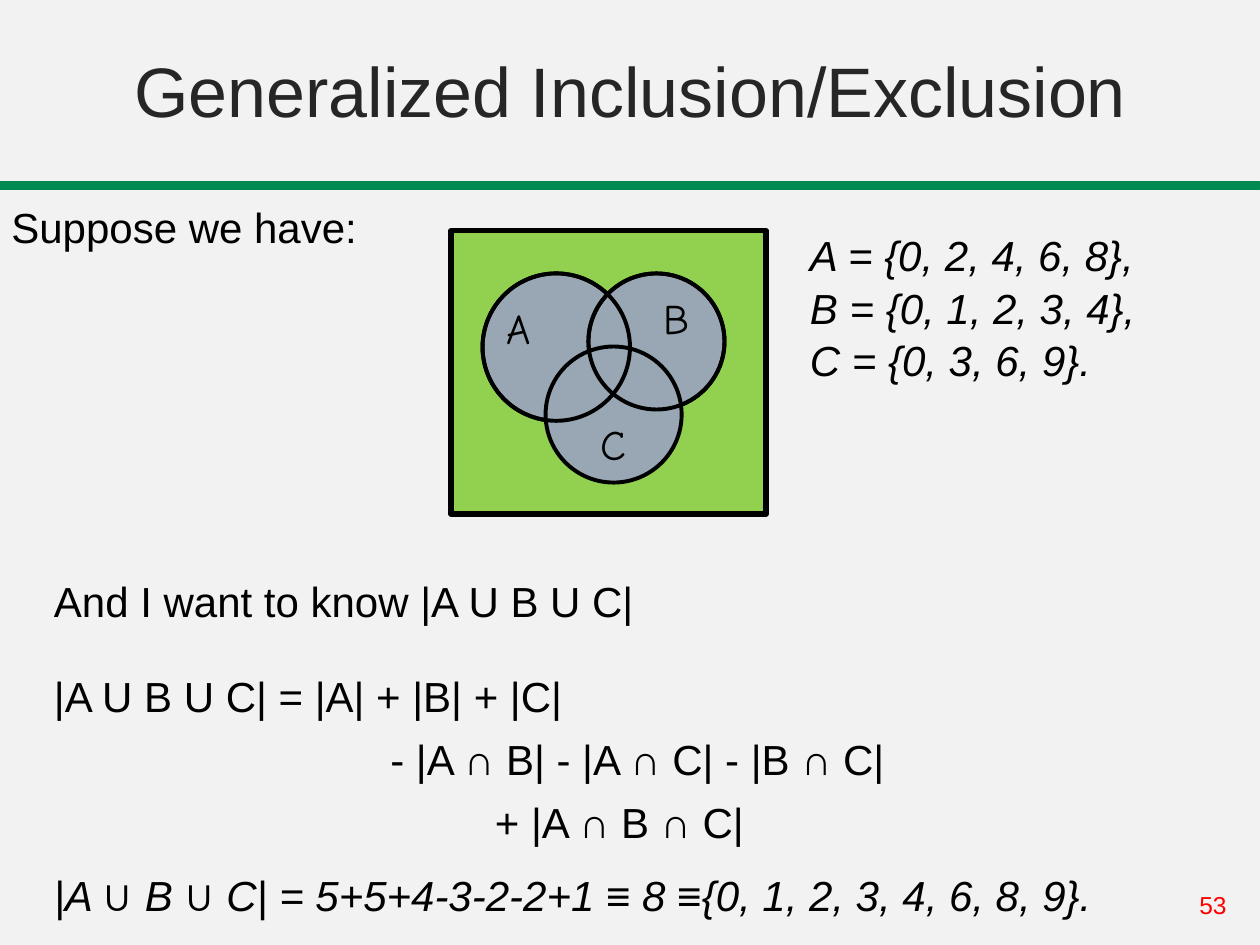
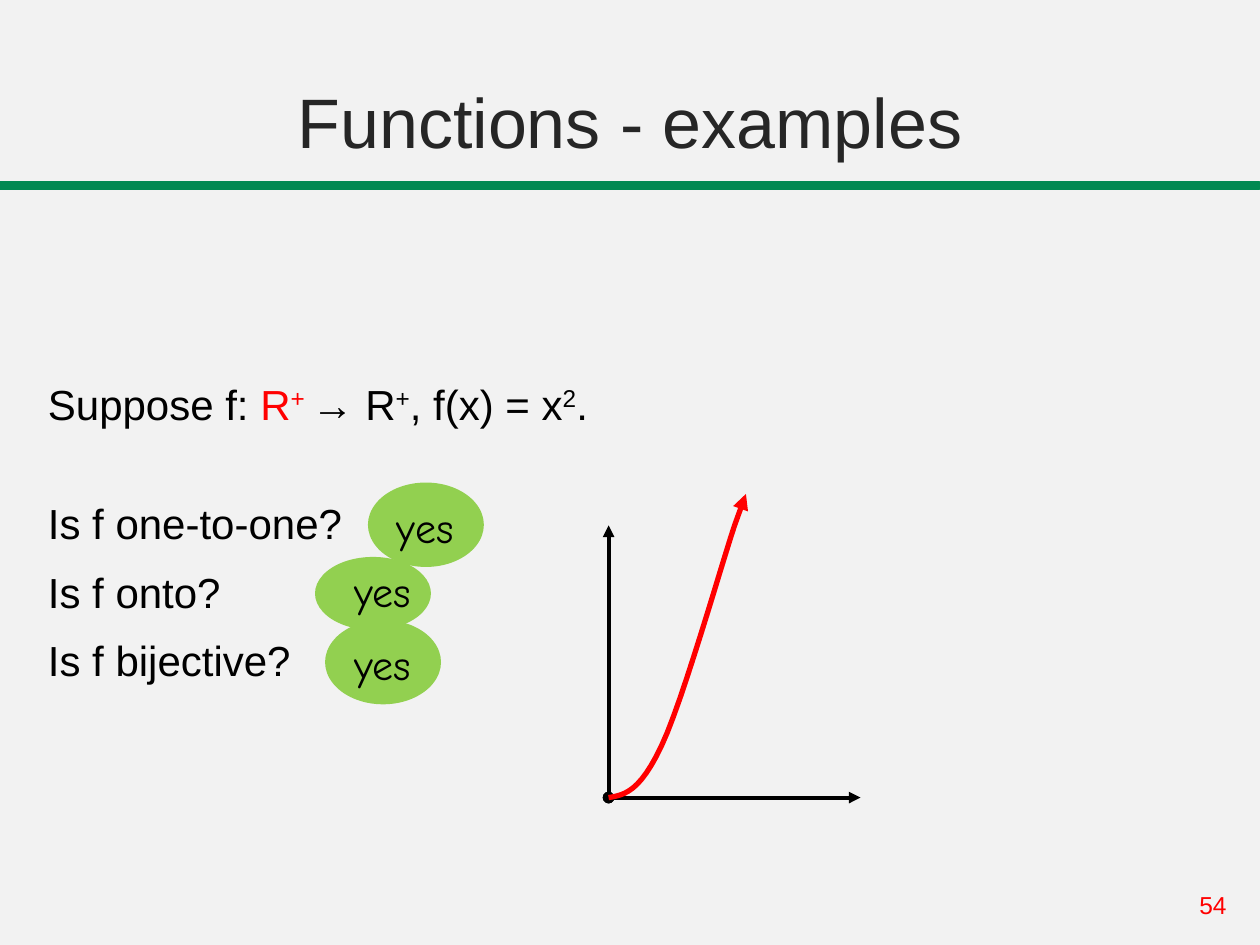
from dataclasses import dataclass
from typing import Optional

from lxml import etree
from pptx import Presentation
from pptx.dml.color import RGBColor
from pptx.enum.shapes import MSO_CONNECTOR, MSO_SHAPE
from pptx.enum.text import MSO_ANCHOR, PP_ALIGN
from pptx.oxml.ns import qn
from pptx.shapes.autoshape import Shape
from pptx.shapes.shapetree import GroupShapes, SlideShapes
from pptx.slide import Slide
from pptx.util import Inches, Pt

RECTANGLE = MSO_SHAPE.RECTANGLE
OVAL = MSO_SHAPE.OVAL
STRAIGHT = MSO_CONNECTOR.STRAIGHT
TOP, MIDDLE, BOTTOM = MSO_ANCHOR.TOP, MSO_ANCHOR.MIDDLE, MSO_ANCHOR.BOTTOM
LEFT, CENTER = PP_ALIGN.LEFT, PP_ALIGN.CENTER

COLORS = {
    "background": "F2F2F2",
    "band": "018952",
    "title": "262626",
    "black": "000000",
    "red": "FF0000",
    "green": "92D050",
    "set": "98A7B3",
}
BODY_FONT = "Arial"
LABEL_FONT = "Comic Neue"
TEXT_SIZE = 24
LINE_SPACING = 1.05
QUESTION_SPACING = 1.36
CURVE_STEPS = 12

Point = tuple[float, float]
Shapes = SlideShapes | GroupShapes


@dataclass(frozen=True)
class Box:
    left: float
    top: float
    width: float
    height: float

    def lengths(self) -> tuple[int, int, int, int]:
        return (Inches(self.left), Inches(self.top),
                Inches(self.width), Inches(self.height))


@dataclass(frozen=True)
class Piece:
    text: str
    color: str = "black"
    superscript: bool = False


@dataclass(frozen=True)
class Line:
    pieces: tuple[Piece, ...]
    spacing: float = LINE_SPACING
    space_after: float = 0


@dataclass(frozen=True)
class Style:
    font: str = BODY_FONT
    size: float = TEXT_SIZE
    italic: bool = False
    align: PP_ALIGN = LEFT
    anchor: MSO_ANCHOR = TOP
    inset: Point = (0.1, 0.05)


@dataclass(frozen=True)
class Answer:
    oval: Box
    text_left: float
    text_top: float


TEXT = Style()
ITALIC = Style(italic=True)
LABEL = Style(font=LABEL_FONT)
ANSWER = Style(font=LABEL_FONT, align=CENTER)
NUMBER = Style(size=14)
TITLE = Style(size=40, align=CENTER, anchor=BOTTOM, inset=(0.09, 0.04))
BODY = Style(anchor=MIDDLE, inset=(0.09, 0.04))

UNIVERSE = Box(3.58, 1.83, 2.5, 2.25)
SET_A = Box(3.83, 2.17, 1.17, 1.17)
SET_B = Box(4.67, 2.17, 1.08, 1.08)
SET_C = Box(4.33, 2.75, 1.08, 1.08)
SET_LABELS = {"A": (3.92, 2.33), "B": (5.17, 2.25), "C": (4.67, 3.25)}

FORMULAS = {
    "And I want to know |A U B U C|": Box(0.33, 4.5, 7.17, 0.58),
    "|A U B U C| = |A| + |B| + |C|": Box(0.33, 5.25, 4.83, 0.58),
    "- |A ∩ B| - |A ∩ C| - |B ∩ C|": Box(3, 5.75, 4.83, 0.58),
    "+ |A ∩ B ∩ C|": Box(3.83, 6.25, 2.5, 0.58),
}
SET_MEMBERS = ("A = {0, 2, 4, 6, 8},", "B = {0, 1, 2, 3, 4},", "C = {0, 3, 6, 9}.")
UNION_SIZE = "|A ∪ B ∪ C| = 5+5+4-3-2-2+1 ≡ 8 ≡{0, 1, 2, 3, 4, 6, 8, 9}."

FUNCTION_DEFINITION = (
    Piece("Suppose f: "), Piece("R", "red"), Piece("+ ", "red", True),
    Piece("→ R"), Piece("+", superscript=True), Piece(", f(x) = x"),
    Piece("2", superscript=True), Piece("."),
)
QUESTIONS = ("Is f one-to-one?", "Is f onto?", "Is f bijective?")
ANSWERS = (
    Answer(Box(2.92, 3.83, 0.92, 0.67), 2.92, 3.91),
    Answer(Box(2.5, 4.42, 0.92, 0.58), 2.58, 4.42),
    Answer(Box(2.58, 4.92, 0.92, 0.67), 2.58, 5),
)

ORIGIN = (4.83, 6.33)
AXIS_ENDS = ((4.83, 4.17), (6.83, 6.33))
CURVE = (
    (ORIGIN, (4.96, 6.31), (5.08, 6.28), (5.25, 5.92)),
    ((5.25, 5.92), (5.42, 5.56), (5.72, 4.5), (5.83, 4.17)),
)
CURVE_END = (5.92, 3.92)


def rgb(name: str) -> RGBColor:
    return RGBColor.from_string(COLORS[name])


def plain(*texts: str) -> list[Line]:
    return [Line((Piece(text),)) for text in texts]


def add_text(shapes: Shapes, box: Box, lines: list[Line], style: Style = TEXT) -> None:
    frame = shapes.add_textbox(*box.lengths()).text_frame
    frame.word_wrap = True
    frame.vertical_anchor = style.anchor
    frame.margin_left = frame.margin_right = Inches(style.inset[0])
    frame.margin_top = frame.margin_bottom = Inches(style.inset[1])
    for index, line in enumerate(lines):
        paragraph = frame.add_paragraph() if index else frame.paragraphs[0]
        paragraph.alignment = style.align
        paragraph.line_spacing = line.spacing
        paragraph.space_after = Pt(line.space_after)
        for piece in line.pieces:
            run = paragraph.add_run()
            run.text = piece.text
            run.font.name = style.font
            run.font.size = Pt(style.size)
            run.font.italic = style.italic
            run.font.color.rgb = rgb(piece.color)
            if piece.superscript:
                run.font._element.set("baseline", "30000")


def style_shape(shape: Shape, fill: Optional[str], line: Optional[str], width: float) -> None:
    shape.shadow.inherit = False
    if fill:
        shape.fill.solid()
        shape.fill.fore_color.rgb = rgb(fill)
    else:
        shape.fill.background()
    if line:
        shape.line.color.rgb = rgb(line)
        shape.line.width = Pt(width)
    else:
        shape.line.fill.background()


def add_figure(shapes: Shapes, kind: MSO_SHAPE, box: Box, fill: Optional[str] = None,
               line: Optional[str] = None, width: float = 2.25) -> None:
    style_shape(shapes.add_shape(kind, *box.lengths()), fill, line, width)


def add_line_ends(line: etree._Element, head: Optional[str], tail: str) -> None:
    if head:
        etree.SubElement(line, qn("a:headEnd"), type=head)
    etree.SubElement(line, qn("a:tailEnd"), type=tail)


def add_axis(slide: Slide, end: Point) -> None:
    axis = slide.shapes.add_connector(
        STRAIGHT, *(Inches(value) for value in ORIGIN + end))
    axis.line.color.rgb = rgb("black")
    axis.line.width = Pt(2.25)
    add_line_ends(axis.line._get_or_add_ln(), "oval", "triangle")
    etree.SubElement(axis._element.spPr, qn("a:effectLst"))


def bezier_point(controls: tuple[Point, ...], position: float) -> Point:
    rest = 1 - position
    weights = (rest ** 3, 3 * rest ** 2 * position, 3 * rest * position ** 2, position ** 3)
    x, y = (sum(weight * control[axis] for weight, control in zip(weights, controls))
            for axis in (0, 1))
    return x, y


def add_parabola(slide: Slide) -> None:
    points = [bezier_point(controls, step / CURVE_STEPS)
              for controls in CURVE for step in range(1, CURVE_STEPS + 1)]
    points.append(CURVE_END)
    builder = slide.shapes.build_freeform(*(Inches(value) for value in ORIGIN))
    builder.add_line_segments([(Inches(x), Inches(y)) for x, y in points], close=False)
    parabola = builder.convert_to_shape()
    style_shape(parabola, None, "red", 3)
    add_line_ends(parabola.line._get_or_add_ln(), None, "triangle")


def add_base_slide(presentation: Presentation, title: str, title_top: float,
                   number: int) -> Slide:
    slide = presentation.slides.add_slide(presentation.slide_layouts[6])
    slide.background.fill.solid()
    slide.background.fill.fore_color.rgb = rgb("background")
    add_figure(slide.shapes, RECTANGLE, Box(0, 1.45, 10, 0.05), "band", "band", 1.75)
    add_text(slide.shapes, Box(9.42, 7, 0.58, 0.34),
             [Line((Piece(str(number), "red"),))], NUMBER)
    add_text(slide.shapes, Box(0, title_top, 10, 1.08),
             [Line((Piece(title, "title"),), spacing=1)], TITLE)
    return slide


def add_venn_diagram(slide: Slide) -> None:
    shapes = slide.shapes.add_group_shape().shapes
    add_figure(shapes, RECTANGLE, UNIVERSE, "green", "black", 3)
    for circle in (SET_A, SET_B, SET_C):
        add_figure(shapes, OVAL, circle, "set", "black")
    for circle in (SET_B, SET_A):
        add_figure(shapes, OVAL, circle, None, "black")
    for name, (left, top) in SET_LABELS.items():
        add_text(slide.shapes, Box(left, top, 0.5, 0.58), plain(name), LABEL)


def add_inclusion_slide(presentation: Presentation) -> None:
    slide = add_base_slide(presentation, "Generalized Inclusion/Exclusion", 0, 53)
    add_text(slide.shapes, Box(0, 1.5, 8.25, 0.58), plain("Suppose we have:"), BODY)
    add_venn_diagram(slide)
    for formula, box in FORMULAS.items():
        add_text(slide.shapes, box, plain(formula))
    add_text(slide.shapes, Box(6.33, 1.75, 3.42, 1.3), plain(*SET_MEMBERS), ITALIC)
    add_text(slide.shapes, Box(0.33, 6.83, 9.08, 0.5), plain(UNION_SIZE), ITALIC)


def add_functions_slide(presentation: Presentation) -> None:
    slide = add_base_slide(presentation, "Functions - examples", 0.25, 54)
    lines = [Line(FUNCTION_DEFINITION, space_after=29)]
    lines += [Line((Piece(question),), QUESTION_SPACING) for question in QUESTIONS]
    add_text(slide.shapes, Box(0.29, 1.75, 8.38, 4.92), lines, BODY)
    for end in AXIS_ENDS:
        add_axis(slide, end)
    add_parabola(slide)
    for answer in ANSWERS:
        shapes = slide.shapes.add_group_shape().shapes
        add_figure(shapes, OVAL, answer.oval, "green")
        add_text(shapes, Box(answer.text_left, answer.text_top, 0.91, 0.5),
                 plain("yes"), ANSWER)


def main() -> None:
    presentation = Presentation()
    presentation.slide_width = Inches(10)
    presentation.slide_height = Inches(7.5)
    add_inclusion_slide(presentation)
    add_functions_slide(presentation)
    presentation.save("out.pptx")


if __name__ == "__main__":
    main()
